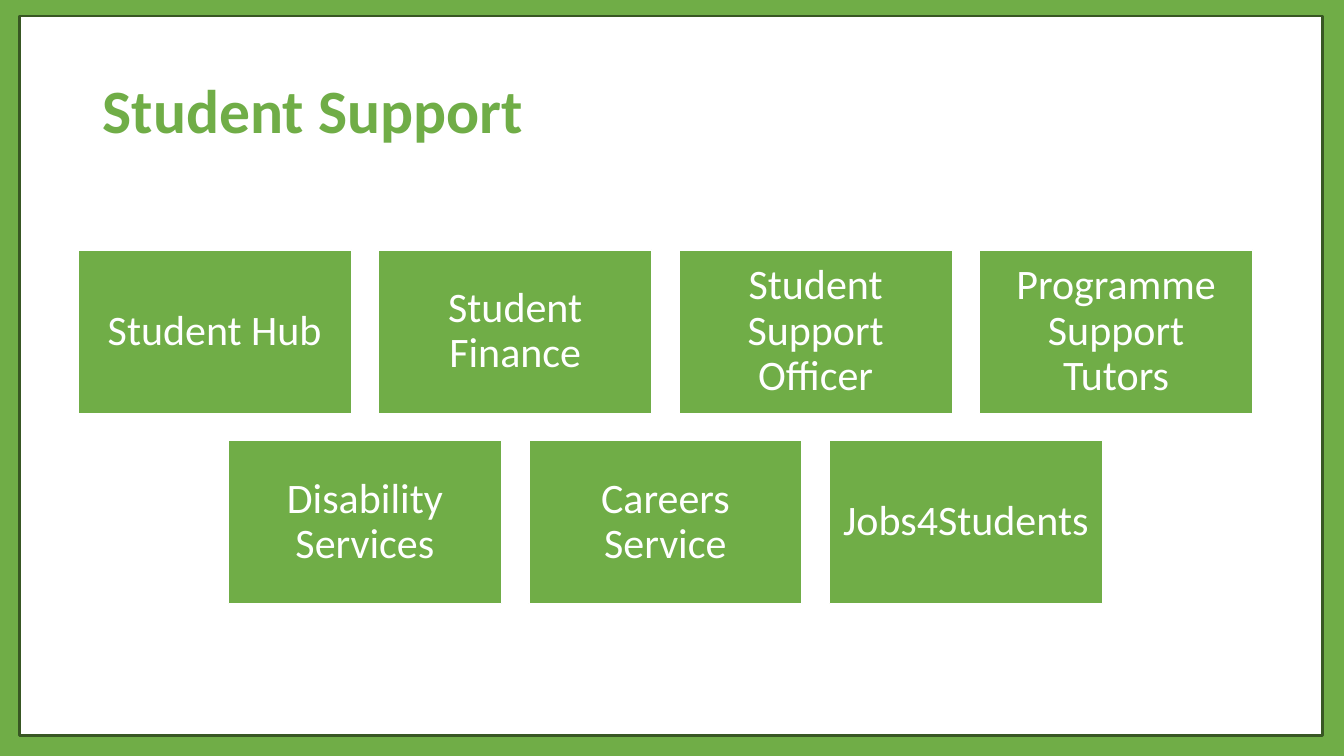
from dataclasses import dataclass

from pptx import Presentation
from pptx.dml.color import RGBColor
from pptx.enum.shapes import MSO_SHAPE
from pptx.enum.text import MSO_ANCHOR, PP_ALIGN
from pptx.util import Inches, Pt

RECTANGLE = MSO_SHAPE.RECTANGLE
MIDDLE = MSO_ANCHOR.MIDDLE
LEFT = PP_ALIGN.LEFT
CENTER = PP_ALIGN.CENTER
TITLE_ONLY = 5


@dataclass(frozen=True)
class Theme:
    green: RGBColor = RGBColor(0x70, 0xAD, 0x47)
    dark_green: RGBColor = RGBColor(0x38, 0x57, 0x23)
    white: RGBColor = RGBColor(0xFF, 0xFF, 0xFF)
    font: str = "Calibri"
    title_size: int = 44
    card_size: int = 30
    line_spacing: float = 0.9


@dataclass(frozen=True)
class CardGrid:
    center: float = 6.6
    top: float = 2.48
    card_width: float = 2.71
    card_height: float = 1.62
    gap: float = 0.27
    padding: float = 0.12

    def position(self, row, column, columns):
        pitch = self.card_width + self.gap
        row_width = columns * pitch - self.gap
        left = self.center - row_width / 2 + column * pitch
        top = self.top + row * (self.card_height + self.gap)
        return left, top


THEME = Theme()
GRID = CardGrid()
SLIDE_WIDTH, SLIDE_HEIGHT = 13.33, 7.5
SERVICE_ROWS = [
    ["Student Hub", "Student Finance", "Student Support Officer", "Programme Support Tutors"],
    ["Disability Services", "Careers Service", "Jobs4Students"],
]


def add_box(slide, left, top, width, height, fill, line, line_width):
    box = slide.shapes.add_shape(
        RECTANGLE, Inches(left), Inches(top), Inches(width), Inches(height)
    )
    box.shadow.inherit = False
    box.fill.solid()
    box.fill.fore_color.rgb = fill
    box.line.color.rgb = line
    box.line.width = Pt(line_width)
    return box


def write_text(shape, text, size, color, alignment, bold=False):
    frame = shape.text_frame
    frame.text = text
    frame.word_wrap = True
    frame.vertical_anchor = MIDDLE
    paragraph = frame.paragraphs[0]
    paragraph.alignment = alignment
    paragraph.line_spacing = THEME.line_spacing
    paragraph.font.name = THEME.font
    paragraph.font.size = Pt(size)
    paragraph.font.bold = bold
    paragraph.font.color.rgb = color


def format_title(slide, text):
    title = slide.shapes.title
    title.left, title.top = Inches(0.92), Inches(0.4)
    title.width, title.height = Inches(11.5), Inches(1.45)
    write_text(title, text, THEME.title_size, THEME.green, LEFT, bold=True)


def add_frame(slide):
    frame = add_box(slide, 0.19, 0.16, 12.93, 7.14, THEME.white, THEME.dark_green, 2)
    slide.shapes.title.element.addprevious(frame.element)


def add_card(slide, text, left, top):
    card = add_box(
        slide, left, top, GRID.card_width, GRID.card_height, THEME.green, THEME.white, 1
    )
    frame = card.text_frame
    frame.margin_left = frame.margin_right = Inches(GRID.padding)
    frame.margin_top = frame.margin_bottom = Inches(GRID.padding)
    write_text(card, text, THEME.card_size, THEME.white, CENTER)


def main():
    presentation = Presentation()
    presentation.slide_width = Inches(SLIDE_WIDTH)
    presentation.slide_height = Inches(SLIDE_HEIGHT)
    slide = presentation.slides.add_slide(presentation.slide_layouts[TITLE_ONLY])
    slide.background.fill.solid()
    slide.background.fill.fore_color.rgb = THEME.green

    add_frame(slide)
    format_title(slide, "Student Support")
    for row, services in enumerate(SERVICE_ROWS):
        for column, service in enumerate(services):
            add_card(slide, service, *GRID.position(row, column, len(services)))

    presentation.save("out.pptx")


if __name__ == "__main__":
    main()
